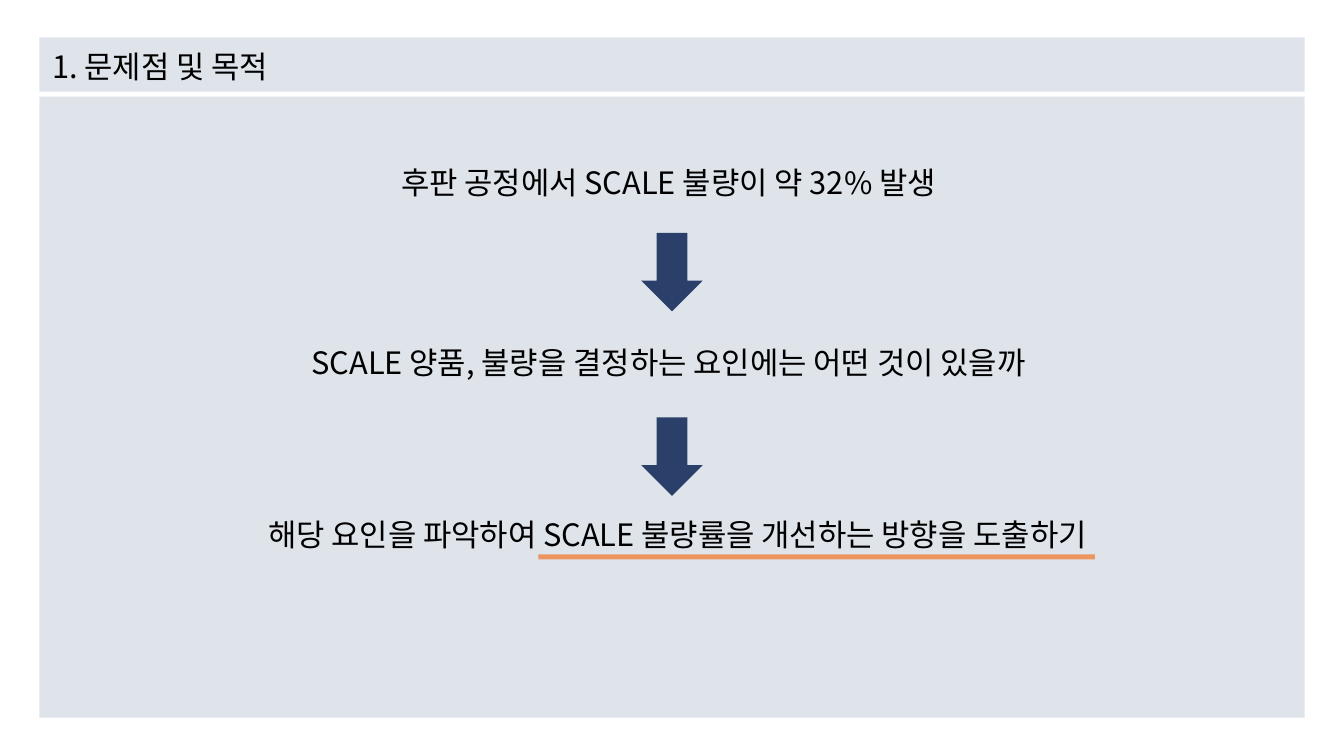
"""Build the problem-and-purpose slide."""
from dataclasses import dataclass
from typing import Optional

from lxml import etree
from pptx import Presentation
from pptx.dml.color import RGBColor
from pptx.enum.shapes import MSO_SHAPE
from pptx.enum.text import MSO_AUTO_SIZE, PP_ALIGN
from pptx.oxml.ns import qn
from pptx.slide import Slide
from pptx.util import Inches, Pt

RECTANGLE = MSO_SHAPE.RECTANGLE
DOWN_ARROW = MSO_SHAPE.DOWN_ARROW
LEFT = PP_ALIGN.LEFT
CENTER = PP_ALIGN.CENTER
FIT_SHAPE = MSO_AUTO_SIZE.SHAPE_TO_FIT_TEXT
FONT_NAME = "Noto Sans CJK KR"
FONT_SIZE = 22
LINE_HEIGHT = 0.47
STATEMENT_WIDTH = 8.82
COLORS = {
    "panel": "ADB9CA",
    "text": "000000",
    "arrow": "2A3F6A",
    "underline": "F47320",
    "divider": "FFFFFF",
}


@dataclass(frozen=True)
class Block:
    """A filled shape, measured in inches, with optional opacity in percent."""

    left: float
    top: float
    width: float
    height: float
    color: str
    kind: MSO_SHAPE = RECTANGLE
    opacity: Optional[int] = None


@dataclass(frozen=True)
class Statement:
    """A single line of text, measured in inches."""

    text: str
    left: float
    top: float
    width: float = STATEMENT_WIDTH
    align: PP_ALIGN = LEFT


PANEL = Block(0.39, 0.37, 12.55, 6.75, "panel", opacity=39)
STATEMENTS = [
    Statement("1. 문제점 및 목적", 0.42, 0.42, width=2.57),
    Statement("후판 공정에서 SCALE 불량이 약 32% 발생", 2.22, 1.58, align=CENTER),
    Statement("SCALE 양품, 불량을 결정하는 요인에는 어떤 것이 있을까", 2.99, 3.36),
    Statement("해당 요인을 파악하여 SCALE 불량률을 개선하는 방향을 도출하기", 2.56, 5.07),
]
ARROWS = [Block(6.36, top, 0.61, 0.78, "arrow", DOWN_ARROW) for top in (2.31, 4.14)]
UNDERLINE = Block(5.34, 5.5, 5.52, 0.05, "underline", opacity=69)
DIVIDER = Block(0.18, 0.91, 12.99, 0.05, "divider")


def add_block(page: Slide, block: Block) -> None:
    """Draw a borderless filled shape."""
    shape = page.shapes.add_shape(
        block.kind,
        Inches(block.left),
        Inches(block.top),
        Inches(block.width),
        Inches(block.height),
    )
    shape.shadow.inherit = False
    shape.line.fill.background()
    shape.fill.solid()
    shape.fill.fore_color.rgb = RGBColor.from_string(COLORS[block.color])
    if block.opacity is not None:
        color = shape.fill._xPr.find(qn("a:solidFill"))[0]
        etree.SubElement(color, qn("a:alpha"), val=str(block.opacity * 1000))


def add_statement(page: Slide, statement: Statement) -> None:
    """Draw a line of text with one font for Latin and Korean."""
    box = page.shapes.add_textbox(
        Inches(statement.left),
        Inches(statement.top),
        Inches(statement.width),
        Inches(LINE_HEIGHT),
    )
    frame = box.text_frame
    frame.word_wrap = True
    frame.auto_size = FIT_SHAPE
    para = frame.paragraphs[0]
    para.text = statement.text
    para.alignment = statement.align
    para.font.size = Pt(FONT_SIZE)
    para.font.name = FONT_NAME
    para.font.color.rgb = RGBColor.from_string(COLORS["text"])
    latin = para._p.pPr.find(qn("a:defRPr")).find(qn("a:latin"))
    latin.addnext(etree.Element(qn("a:ea"), typeface=FONT_NAME))


def main() -> None:
    """Assemble and save the deck."""
    deck = Presentation()
    deck.slide_width = Inches(13.33)
    deck.slide_height = Inches(7.5)
    page = deck.slides.add_slide(deck.slide_layouts[6])
    add_block(page, PANEL)
    for statement in STATEMENTS:
        add_statement(page, statement)
    for block in [*ARROWS, UNDERLINE, DIVIDER]:
        add_block(page, block)
    deck.save("out.pptx")


if __name__ == "__main__":
    main()
